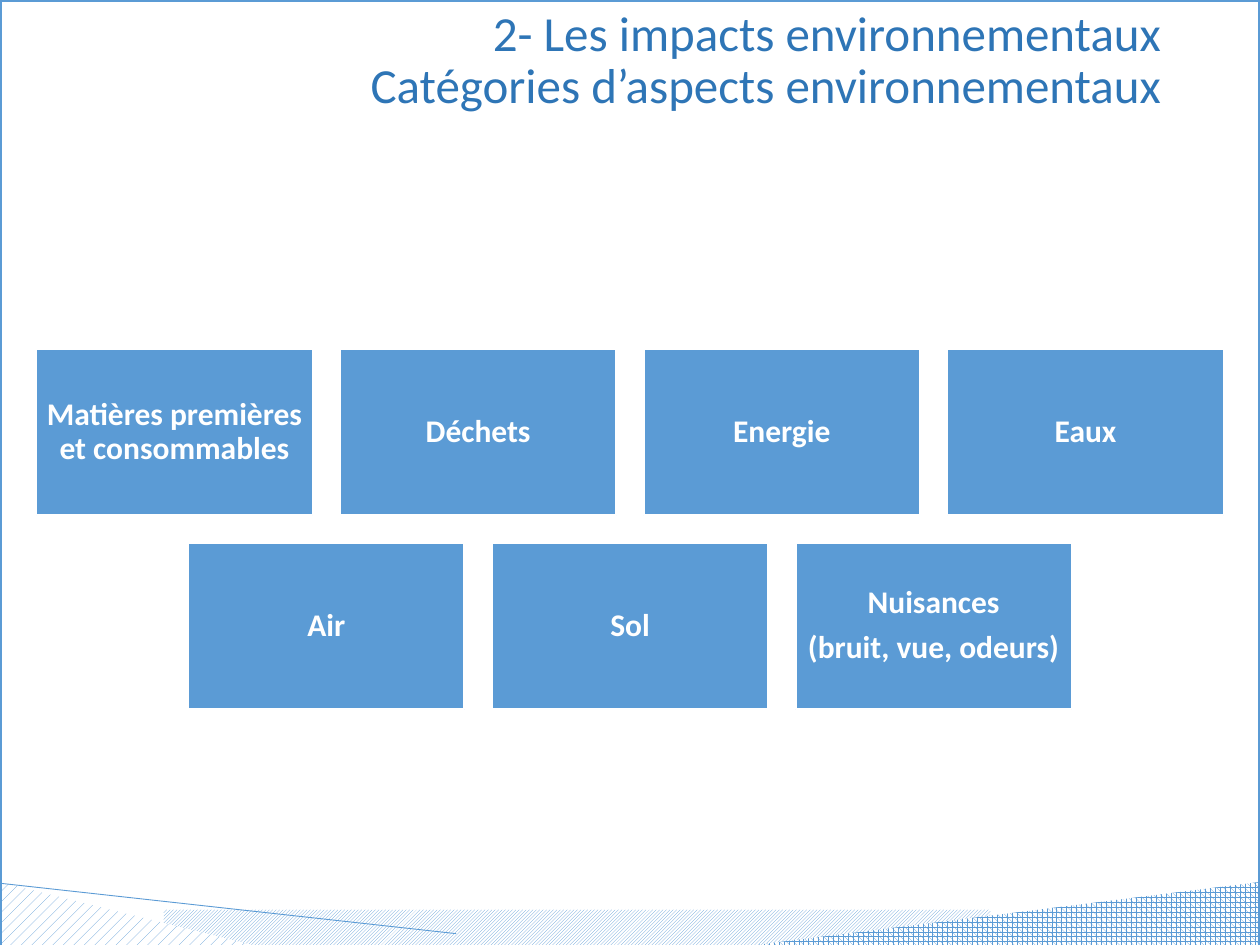
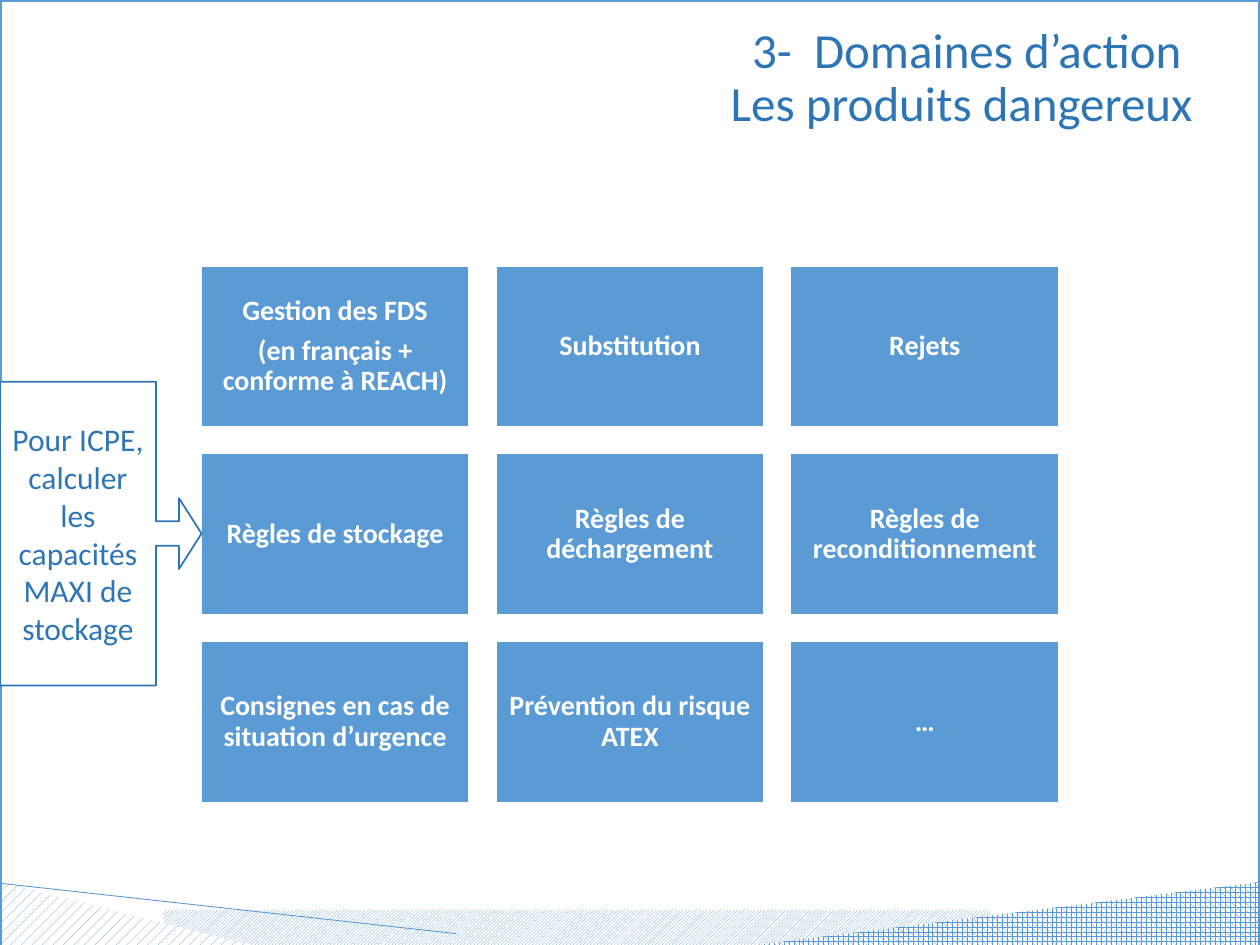
from dataclasses import dataclass

from lxml.etree import SubElement
from pptx import Presentation
from pptx.dml.color import RGBColor
from pptx.enum.dml import MSO_PATTERN
from pptx.enum.shapes import MSO_CONNECTOR, MSO_SHAPE
from pptx.enum.text import MSO_ANCHOR, PP_ALIGN
from pptx.oxml.ns import qn
from pptx.util import Inches, Pt


@dataclass(frozen=True)
class Theme:
    font: str = "Calibri"
    blue: RGBColor = RGBColor(0x5B, 0x9B, 0xD5)
    dark_blue: RGBColor = RGBColor(0x2E, 0x75, 0xB6)
    white: RGBColor = RGBColor(0xFF, 0xFF, 0xFF)
    title_size: int = 28
    note_size: int = 18


@dataclass(frozen=True)
class Box:
    left: float
    top: float
    width: float
    height: float

    def lengths(self):
        return [Inches(side) for side in (self.left, self.top, self.width, self.height)]


THEME = Theme()
PAGE = Box(0, 0, 10, 7.5)
FRAME = Box(0, 0, 10, 7.52)
FOOTER = Box(0, 7.01, 10, 0.51)


def style_paragraph(para, size, color, align, bold=False):
    para.alignment = align
    para.font.name = THEME.font
    para.font.size = Pt(size)
    para.font.color.rgb = color
    para.font.bold = bold


def add_panel(page, kind, box):
    panel = page.shapes.add_shape(kind, *box.lengths())
    panel.shadow.inherit = False
    return panel


def fill_pattern(shape, pattern):
    shape.shadow.inherit = False
    shape.fill.patterned()
    shape.fill.pattern = pattern
    shape.fill.fore_color.rgb = THEME.blue
    shape.fill.back_color.rgb = THEME.white
    shape.line.fill.background()


def add_wedge(page, box, points, pattern):
    corners = [(box.left + x, box.top + y) for x, y in points]
    outline = page.shapes.build_freeform(*corners[0], scale=Inches(1))
    outline.add_line_segments(corners[1:], close=True)
    fill_pattern(outline.convert_to_shape(), pattern)


def add_footer(page, box):
    strip = Box(box.left + 1.3, box.top + 0.21, 6.56, 0.32)
    fill_pattern(add_panel(page, MSO_SHAPE.RECTANGLE, strip),
                 MSO_PATTERN.LIGHT_UPWARD_DIAGONAL)
    bottom = box.height
    add_wedge(page, box, [(0, 0), (4.37, 0.49), (4.28, bottom), (0, bottom)],
              MSO_PATTERN.PERCENT_20)
    add_wedge(page, box, [(2.27, 0.5), (box.width, 0), (box.width, bottom), (2.19, bottom)],
              MSO_PATTERN.SPHERE)
    edge = page.shapes.add_connector(
        MSO_CONNECTOR.STRAIGHT, Inches(box.left), Inches(box.top),
        Inches(box.left + 3.62), Inches(box.top + 0.4))
    edge.line.color.rgb = THEME.blue
    edge.line.width = Pt(0.5)
    SubElement(edge.element.spPr, qn("a:effectLst"))


def add_frame(page, box):
    frame = add_panel(page, MSO_SHAPE.RECTANGLE, box)
    frame.fill.background()
    frame.line.color.rgb = THEME.blue
    frame.line.width = Pt(2.25)


def add_title(page, box, lines, anchor):
    text = page.shapes.add_textbox(*box.lengths()).text_frame
    text.word_wrap = True
    text.vertical_anchor = anchor
    para = text.paragraphs[0]
    for index, line in enumerate(lines):
        if index:
            para.add_line_break()
        para.add_run().text = line
    para.line_spacing = 0.9
    style_paragraph(para, THEME.title_size, THEME.dark_blue, PP_ALIGN.RIGHT)


def add_tile(page, box, label, size):
    tile = add_panel(page, MSO_SHAPE.RECTANGLE, box)
    tile.fill.solid()
    tile.fill.fore_color.rgb = THEME.blue
    tile.line.color.rgb = THEME.white
    tile.line.width = Pt(1)
    text = tile.text_frame
    text.word_wrap = True
    text.vertical_anchor = MSO_ANCHOR.MIDDLE
    text.margin_left = text.margin_right = Inches(0.07)
    text.margin_top = text.margin_bottom = Inches(0.07)
    text.text = label
    for para in text.paragraphs:
        para.line_spacing = 0.9
        para.space_after = Pt(0.35 * size)
        style_paragraph(para, size, THEME.white, PP_ALIGN.CENTER, bold=True)


def add_tile_grid(page, box, rows, tile_width, tile_height, gap, size):
    for row_index, labels in enumerate(rows):
        row_width = len(labels) * (tile_width + gap) - gap
        left = box.left + (box.width - row_width) / 2
        top = box.top + row_index * (tile_height + gap)
        for column, label in enumerate(labels):
            tile_box = Box(left + column * (tile_width + gap), top, tile_width, tile_height)
            add_tile(page, tile_box, label, size)


def add_storage_note(page, box, label):
    note = add_panel(page, MSO_SHAPE.RIGHT_ARROW_CALLOUT, box)
    for index, value in enumerate((0.122, 0.176, 0.112, 0.774)):
        note.adjustments[index] = value
    note.fill.solid()
    note.fill.fore_color.rgb = THEME.white
    note.line.color.rgb = THEME.dark_blue
    note.line.width = Pt(1)
    text = note.text_frame
    text.word_wrap = True
    text.vertical_anchor = MSO_ANCHOR.MIDDLE
    text.text = label
    style_paragraph(text.paragraphs[0], THEME.note_size, THEME.dark_blue, PP_ALIGN.CENTER)


def add_page(deck):
    page = deck.slides.add_slide(deck.slide_layouts[6])
    add_footer(page, FOOTER)
    add_frame(page, FRAME)
    return page


def build_aspects(deck):
    page = add_page(deck)
    rows = [
        ["Matières premières et consommables", "Déchets", "Energie", "Eaux"],
        ["Air", "Sol", "Nuisances\n(bruit, vue, odeurs)"],
    ]
    add_tile_grid(page, Box(0.29, 2.77, 9.42, 2.86), rows, 2.19, 1.32, 0.22, 18)
    add_title(page, Box(0.69, 0.02, 8.62, 1.16),
              ["2- Les impacts environnementaux", "Catégories d’aspects environnementaux"],
              MSO_ANCHOR.TOP)


def build_dangerous_products(deck):
    page = add_page(deck)
    add_title(page, Box(0.44, 0, 9.12, 1.25),
              ["3-  Domaines d’action ", "Les produits dangereux"], MSO_ANCHOR.MIDDLE)
    rows = [
        ["Gestion des FDS\n(en français + conforme à REACH)", "Substitution", "Rejets"],
        ["Règles de stockage", "Règles de déchargement", "Règles de reconditionnement"],
        ["Consignes en cas de situation d’urgence", "Prévention du risque ATEX", "…"],
    ]
    add_tile_grid(page, Box(1.59, 2.11, 6.82, 4.26), rows, 2.13, 1.28, 0.21, 16)
    add_storage_note(page, Box(0, 3.03, 1.6, 2.41),
                     "Pour ICPE, calculer les capacités MAXI de stockage")


def main():
    deck = Presentation()
    deck.slide_width = Inches(PAGE.width)
    deck.slide_height = Inches(PAGE.height)
    build_aspects(deck)
    build_dangerous_products(deck)
    deck.save("out.pptx")


if __name__ == "__main__":
    main()
